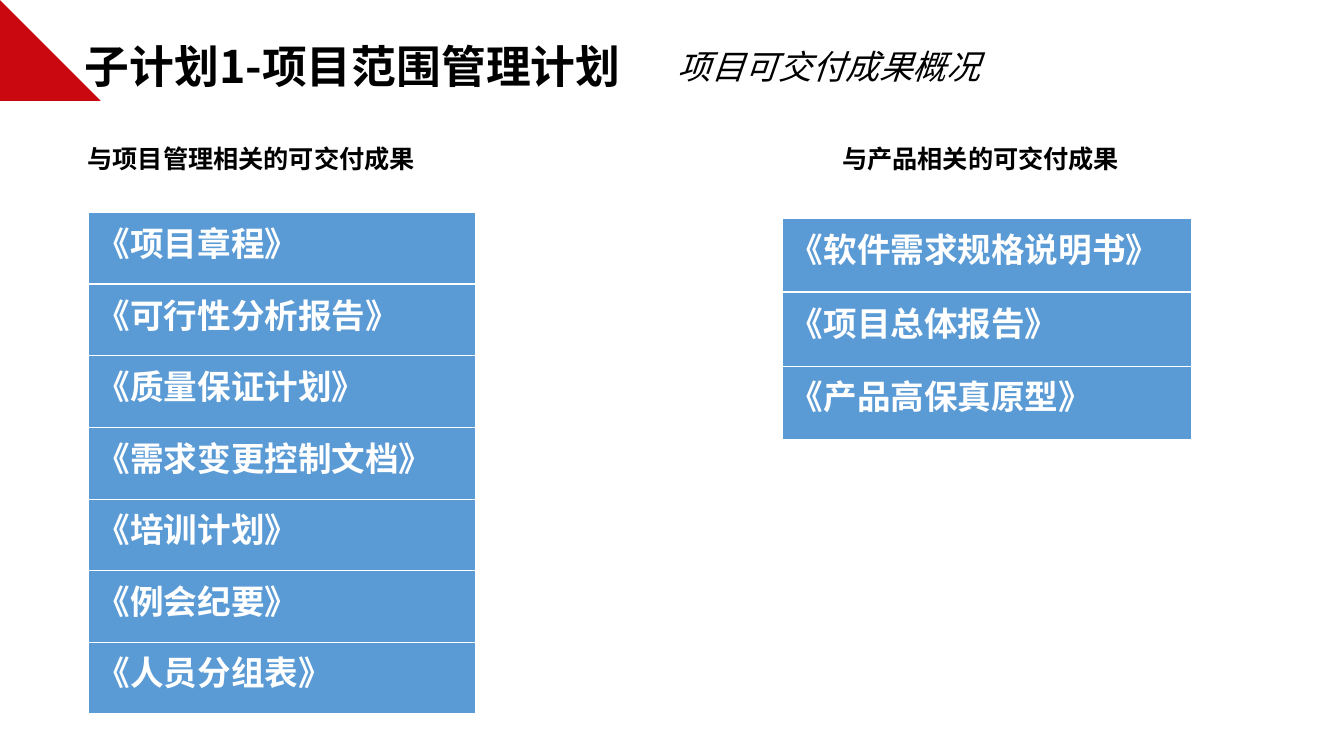
from lxml import etree
from pptx import Presentation
from pptx import util as u
from pptx.dml import color
from pptx.enum import text
from pptx.oxml import ns

BLACK, WHITE, RED, BLUE = "000000", "FFFFFF", "CA0810", "5B9BD5"
CJK = "Noto Sans CJK SC"
THIN, THICK = 0.45, 1.47

MANAGEMENT = ["《项目章程》", "《可行性分析报告》", "《质量保证计划》", "《需求变更控制文档》",
              "《培训计划》", "《例会纪要》", "《人员分组表》"]
PRODUCT = ["《软件需求规格说明书》", "《项目总体报告》", "《产品高保真原型》"]


def rgb(value):
    return color.RGBColor.from_string(value)


def write(tf, content, align, size, fill, font="Calibri", bold=False, italic=False):
    p = tf.paragraphs[0]
    p.alignment = align
    r = p.add_run()
    r.text = content
    formats = {"size": u.Pt(size), "name": font, "bold": bold, "italic": italic}
    for name, value in formats.items():
        setattr(r.font, name, value)
    r.font.color.rgb = rgb(fill)
    ea = etree.SubElement(r._r.get_or_add_rPr(), ns.qn("a:ea"))
    ea.set("typeface", CJK)


def place_text(sp, box, content, size, wrap=False, **style):
    sp.left, sp.top, sp.width, sp.height = map(u.Inches, box)
    tf = sp.text_frame
    frame = {"word_wrap": wrap, "auto_size": text.MSO_AUTO_SIZE.NONE,
             "vertical_anchor": text.MSO_ANCHOR.BOTTOM}
    for name, value in frame.items():
        setattr(tf, name, value)
    write(tf, content, text.PP_ALIGN.LEFT, size, BLACK, **style)


def add_label(s, box, content, size, **style):
    sp = s.shapes.add_textbox(*map(u.Inches, box))
    place_text(sp, box, content, size, **style)


def add_marker(s, points):
    builder = s.shapes.build_freeform(*points[0], scale=u.Inches(1))
    builder.add_line_segments(points[1:], close=True)
    sp = builder.convert_to_shape()
    sp.shadow.inherit = False
    sp.fill.solid()
    sp.fill.fore_color.rgb = rgb(RED)
    sp.line.fill.background()


def set_borders(cell, widths):
    tc_pr = cell._tc.get_or_add_tcPr()
    for side, width in widths.items():
        ln = etree.SubElement(tc_pr, ns.qn(f"a:ln{side}"), w=str(u.Pt(width)))
        fill = etree.SubElement(ln, ns.qn("a:solidFill"))
        etree.SubElement(fill, ns.qn("a:srgbClr"), val=WHITE)


def add_deliverables(s, left, top, width, row_height, names):
    height = row_height * len(names)
    frame = s.shapes.add_table(len(names), 1, *map(u.Inches, (left, top, width, height)))
    for i, name in enumerate(names):
        frame.table.rows[i].height = u.Inches(row_height)
        cell = frame.table.cell(i, 0)
        set_borders(cell, {"L": THIN, "R": THIN,
                           "T": THICK if i == 1 else THIN,
                           "B": THICK if i == 0 else THIN})
        cell.fill.solid()
        cell.fill.fore_color.rgb = rgb(BLUE)
        cell.margin_left = cell.margin_right = u.Inches(0.08)
        write(cell.text_frame, name, text.PP_ALIGN.JUSTIFY, 24, WHITE, bold=True)


def main():
    prs = Presentation()
    prs.slide_width, prs.slide_height = u.Inches(13.34), u.Inches(7.5)
    s = prs.slides.add_slide(prs.slide_layouts[5])
    add_marker(s, [(0, 0.09), (0, 1.26), (0.65, 0.63), (0.12, 0.09)])
    place_text(s.shapes.title, (0.74, 0.33, 6.69, 0.64), "子计划1-项目范围管理计划", 32,
               wrap=True, font=CJK, bold=True)
    add_label(s, (6.63, 0.4, 3.2, 0.5), "项目可交付成果概况", 24, italic=True)
    add_label(s, (0.77, 1.37, 3.45, 0.4), "与项目管理相关的可交付成果", 18, bold=True)
    add_label(s, (8.26, 1.37, 2.95, 0.4), "与产品相关的可交付成果", 18, bold=True)
    add_deliverables(s, 0.88, 2.11, 3.84, 0.71, MANAGEMENT)
    add_deliverables(s, 7.76, 2.17, 4.06, 0.73, PRODUCT)
    prs.save("out.pptx")


if __name__ == "__main__":
    main()
